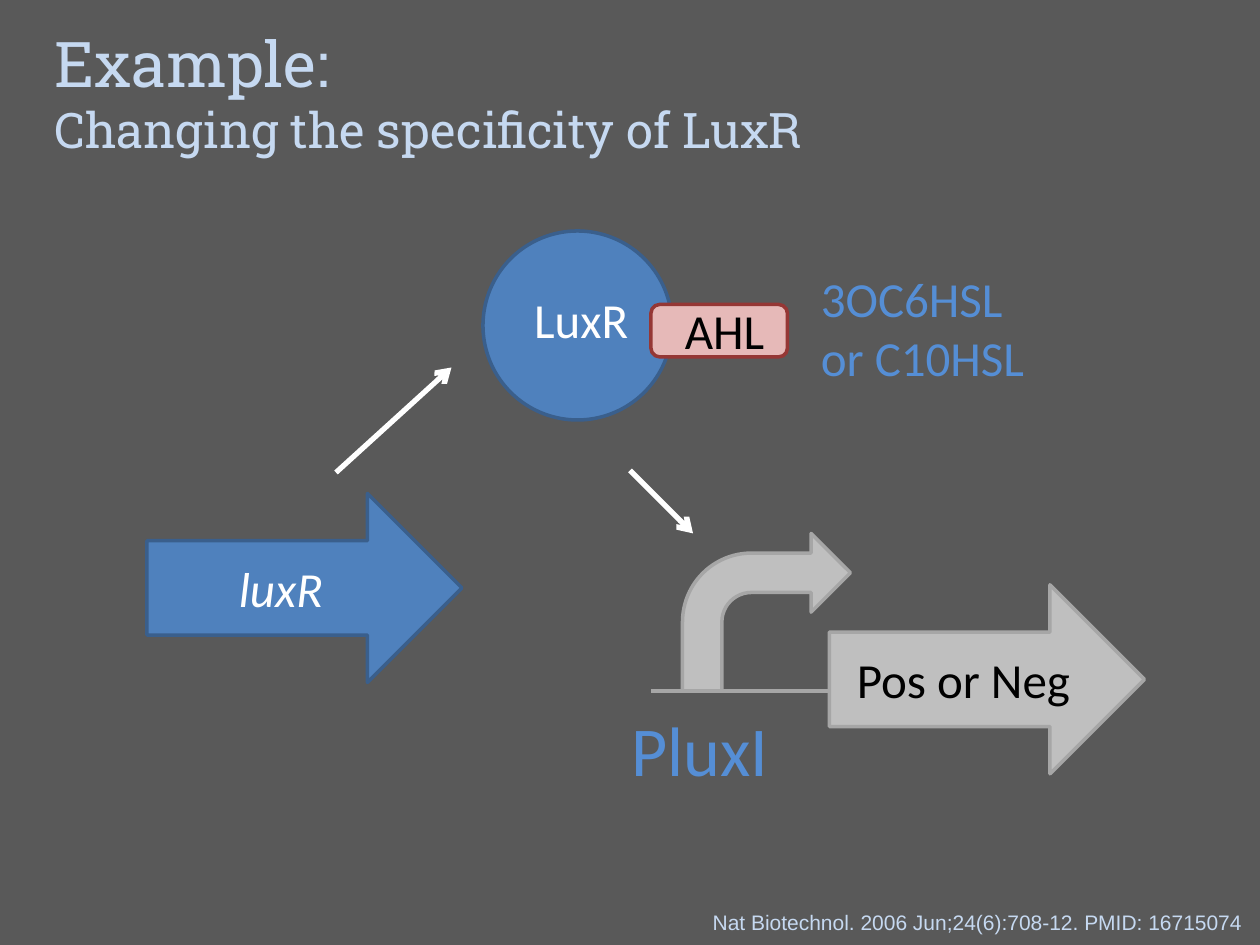
from dataclasses import dataclass

from lxml import etree
from pptx import Presentation
from pptx import util as u
from pptx.dml.color import RGBColor
from pptx.enum import shapes, text
from pptx.oxml import ns

UNIT = u.Inches(1) / 12  # grid cell: the slide is 120 columns by 90 rows


@dataclass(frozen=True)
class Theme:
    background: str = "595959"
    heading: str = "C6D9F1"
    label: str = "558ED5"
    light: str = "FFFFFF"
    dark: str = "000000"
    lux: tuple = ("4F81BD", "3A5F8C")  # fill, outline
    signal: tuple = ("E6B9B8", "953735")
    reporter: tuple = ("BFBFBF", "A6A6A6")
    title_font: str = "Roboto Slab"
    body_font: str = "Calibri"
    citation_font: str = "Arial"
    title_size: int = 36
    body_size: int = 28
    promoter_size: int = 40
    citation_size: int = 12


THEME = Theme()
MIDDLE = text.PP_ALIGN.CENTER
LEFT = text.PP_ALIGN.LEFT


def cells(*counts):
    return [u.Emu(round(count * UNIT)) for count in counts]


def format_text(frame, words, color, size=THEME.body_size,
                font=THEME.body_font, align=LEFT, italic=None):
    frame.text = words
    for paragraph in frame.paragraphs:
        paragraph.alignment = align
        for run in paragraph.runs:
            run.font.name = font
            run.font.size = u.Pt(size)
            run.font.italic = italic
            run.font.color.rgb = RGBColor.from_string(color)


def add_label(slide, box, words, color, **style):
    frame = slide.shapes.add_textbox(*cells(*box)).text_frame
    frame.word_wrap = False
    format_text(frame, words, color, **style)


def add_part(slide, kind, box, colors):
    part = slide.shapes.add_shape(kind, *cells(*box))
    fill, outline = colors
    part.shadow.inherit = False
    part.fill.solid()
    part.fill.fore_color.rgb = RGBColor.from_string(fill)
    part.line.color.rgb = RGBColor.from_string(outline)
    part.line.width = u.Pt(2)
    return part


def add_line(slide, start, end, color, width, arrow=False):
    line = slide.shapes.add_connector(
        shapes.MSO_CONNECTOR.STRAIGHT, *cells(*start, *end))
    line.line.color.rgb = RGBColor.from_string(color)
    line.line.width = u.Pt(width)
    if arrow:
        etree.SubElement(line.line._get_or_add_ln(), ns.qn("a:tailEnd"), type="arrow")
    etree.SubElement(line._element.spPr, ns.qn("a:effectLst"))


def add_title(slide, box):
    title = slide.shapes.title
    title.left, title.top, title.width, title.height = cells(*box)
    frame = title.text_frame
    frame.word_wrap = True
    frame.auto_size = text.MSO_AUTO_SIZE.NONE
    frame.vertical_anchor = text.MSO_ANCHOR.TOP
    format_text(frame, "Example:\nChanging the specificity of LuxR",
                THEME.heading, font=THEME.title_font)
    frame.paragraphs[0].runs[0].font.size = u.Pt(THEME.title_size)


def add_gene(slide, box, words, colors, color, italic=None):
    gene = add_part(slide, shapes.MSO_SHAPE.RIGHT_ARROW, box, colors)
    gene.text_frame.vertical_anchor = text.MSO_ANCHOR.MIDDLE
    format_text(gene.text_frame, words, color, align=MIDDLE, italic=italic)


def add_protein_complex(slide, box):
    """LuxR circle with the signal molecule bound at its right edge."""
    x, y, _, size = box
    add_part(slide, shapes.MSO_SHAPE.OVAL, (x, y, size, size), THEME.lux)
    add_part(slide, shapes.MSO_SHAPE.ROUNDED_RECTANGLE, (x + 16, y + 7, 13, 5),
             THEME.signal)
    add_label(slide, (x + 3.6, y + 5, 11.5, 6.8), "LuxR", THEME.light, align=MIDDLE)
    add_label(slide, (x + 18, y + 6, 10, 6.8), "AHL", THEME.dark, align=MIDDLE)
    add_label(slide, (x + 31, y + 3, 22.7, 12.5), "3OC6HSL\nor C10HSL", THEME.label)


def add_promoter(slide, box):
    """DNA strand, promoter arrow, its name and the reporter gene."""
    x, y, width, _ = box
    strand = y + 15
    add_line(slide, (x + 3, strand), (x + width - 4, strand), THEME.reporter[1], 2)
    add_gene(slide, (x + 20, y + 4.9, 30, 18), "Pos or Neg",
             THEME.reporter, THEME.dark)
    add_part(slide, shapes.MSO_SHAPE.BENT_ARROW, (x + 6, y, 16, 15), THEME.reporter)
    add_label(slide, (x, strand + 0.9, 15.6, 9.2), "PluxI", THEME.label,
              size=THEME.promoter_size)


def main():
    deck = Presentation()
    deck.slide_width, deck.slide_height = cells(120, 90)
    slide = deck.slides.add_slide(deck.slide_layouts[5])
    slide.background.fill.solid()
    slide.background.fill.fore_color.rgb = RGBColor.from_string(THEME.background)

    add_title(slide, (4, 1.7, 113, 14.2))
    add_protein_complex(slide, (46, 22, 54, 18))
    add_gene(slide, (14, 47, 30, 18), "luxR", THEME.lux, THEME.light, italic=True)
    add_promoter(slide, (59, 50.8, 50, 25))

    # Gene makes protein, protein acts on promoter
    for start, end in (((32, 45), (43, 35)), ((60, 44.8), (66, 50.8))):
        add_line(slide, start, end, THEME.light, 3, arrow=True)

    # Citation
    add_label(slide, (66.7, 86, 53.3, 3.6),
              "Nat Biotechnol. 2006 Jun;24(6):708-12. PMID: 16715074",
              THEME.heading, size=THEME.citation_size, font=THEME.citation_font)
    deck.save("out.pptx")


if __name__ == "__main__":
    main()
